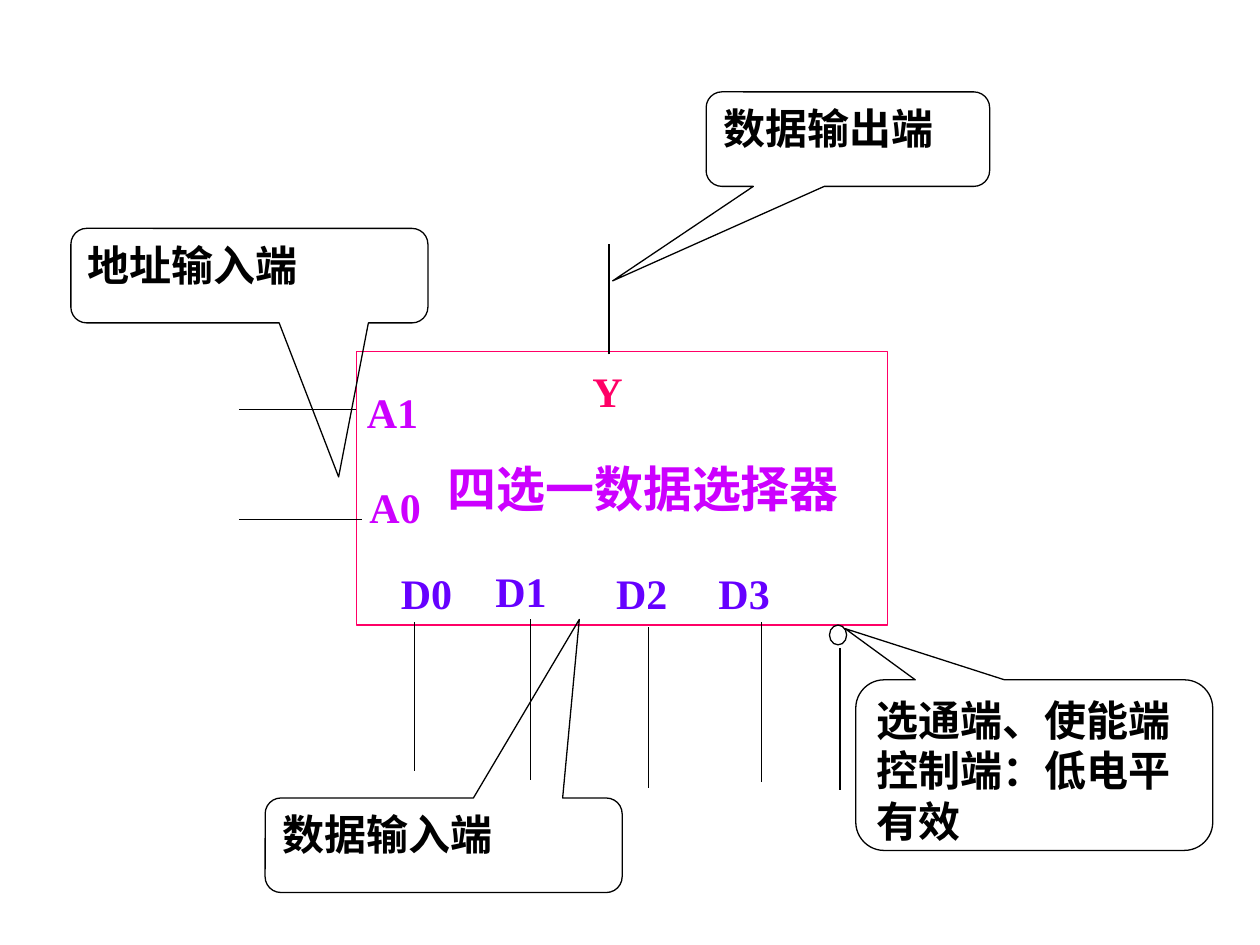
from typing import NamedTuple

from lxml.etree import SubElement
from pptx import Presentation
from pptx.dml.color import RGBColor
from pptx.enum.shapes import MSO_CONNECTOR, MSO_SHAPE
from pptx.enum.text import MSO_ANCHOR, PP_ALIGN
from pptx.oxml.ns import qn
from pptx.util import Pt

BLACK = RGBColor(0x00, 0x00, 0x00)
WHITE = RGBColor(0xFF, 0xFF, 0xFF)
PINK = RGBColor(0xFF, 0x00, 0x66)
MAGENTA = RGBColor(0xCC, 0x00, 0xFF)
VIOLET = RGBColor(0x66, 0x00, 0xFF)
FONT = "Times New Roman"
LINE_WIDTH = 0.75


class Box(NamedTuple):
    left: float
    top: float
    width: float
    height: float


class Wire(NamedTuple):
    x1: float
    y1: float
    x2: float
    y2: float


class PinLabel(NamedTuple):
    text: str
    box: Box
    color: RGBColor


class Callout(NamedTuple):
    text: str
    box: Box
    tip_x: float  # tip offset from the centre, as a share of the width
    tip_y: float  # tip offset from the centre, as a share of the height


CHIP = Box(203.7, 201, 303.3, 156.2)
ENABLE_BUBBLE = Box(474, 357.2, 9.8, 11.3)
WIRES = [
    Wire(348, 202.5, 348, 139.5),
    Wire(237, 440.5, 237, 355.5),
    Wire(303, 445.5, 303, 354),
    Wire(370.6, 450, 370.6, 358.5),
    Wire(435, 447, 435, 355.5),
    Wire(480, 370.5, 480, 451.5),
    Wire(136.5, 234, 203.7, 234),
    Wire(136.5, 297, 207, 297),
]
PIN_LABELS = [
    PinLabel("Y", Box(331.5, 205.5, 36, 36), PINK),
    PinLabel("A1", Box(202.5, 217.5, 48, 36), MAGENTA),
    PinLabel("A0", Box(204, 271.5, 54, 36), MAGENTA),
    PinLabel("D0", Box(222, 321, 52.5, 36), VIOLET),
    PinLabel("D1", Box(276, 319.5, 52.5, 36), VIOLET),
    PinLabel("D2", Box(345, 321, 58.5, 36), VIOLET),
    PinLabel("D3", Box(403.5, 321, 52.5, 36), VIOLET),
]
CALLOUTS = [
    Callout("数据输出端", Box(403.5, 52.5, 162, 54), -0.83, 1.5),
    Callout("地址输入端", Box(40.5, 130.5, 204, 54), 0.25, 2.13),
    Callout("数据输入端", Box(151.5, 456, 204, 54), 0.38, -2.39),
    Callout("选通端、使能端控制端：低电平有效", Box(489, 388.5, 204, 97.5), -0.53, -0.8),
]


def write(shape, text: str, size: float, color: RGBColor):
    tf = shape.text_frame
    tf.word_wrap = True
    tf.text = text
    p = tf.paragraphs[0]
    p.alignment = PP_ALIGN.LEFT
    font = p.runs[0].font
    font.name, font.size, font.bold = FONT, Pt(size), True
    font.color.rgb = color
    return tf


def add_outline(slide, kind: MSO_SHAPE, box: Box, color: RGBColor):
    """Add an unfilled preset shape with a thin line."""
    sp = slide.shapes.add_shape(kind, *map(Pt, box))
    sp.shadow.inherit = False
    sp.fill.background()
    sp.line.color.rgb = color
    sp.line.width = Pt(LINE_WIDTH)
    return sp


def add_chip(slide) -> None:
    sp = add_outline(slide, MSO_SHAPE.RECTANGLE, CHIP, PINK)
    tf = write(sp, "四选一数据选择器", 28, MAGENTA)
    tf.vertical_anchor = MSO_ANCHOR.MIDDLE
    tf.margin_left = Pt(52)


def add_wire(slide, wire: Wire) -> None:
    cxn = slide.shapes.add_connector(MSO_CONNECTOR.STRAIGHT, *map(Pt, wire))
    cxn.line.color.rgb = BLACK
    cxn.line.width = Pt(LINE_WIDTH)
    SubElement(cxn.element.spPr, qn("a:effectLst"))


def add_pin_label(slide, label: PinLabel) -> None:
    tb = slide.shapes.add_textbox(*map(Pt, label.box))
    write(tb, label.text, 24, label.color)


def add_callout(slide, callout: Callout) -> None:
    sp = add_outline(slide, MSO_SHAPE.ROUNDED_RECTANGULAR_CALLOUT, callout.box, BLACK)
    sp.adjustments[0] = callout.tip_x
    sp.adjustments[1] = callout.tip_y
    tf = write(sp, callout.text, 24, BLACK)
    tf.vertical_anchor = MSO_ANCHOR.TOP


def main() -> None:
    prs = Presentation()
    prs.slide_width, prs.slide_height = Pt(720), Pt(540)
    s = prs.slides.add_slide(prs.slide_layouts[6])
    add_chip(s)
    for wire in WIRES:
        add_wire(s, wire)
    bubble = add_outline(s, MSO_SHAPE.OVAL, ENABLE_BUBBLE, BLACK)
    bubble.fill.solid()
    bubble.fill.fore_color.rgb = WHITE
    for label in PIN_LABELS:
        add_pin_label(s, label)
    for callout in CALLOUTS:
        add_callout(s, callout)
    prs.save("out.pptx")


if __name__ == "__main__":
    main()
